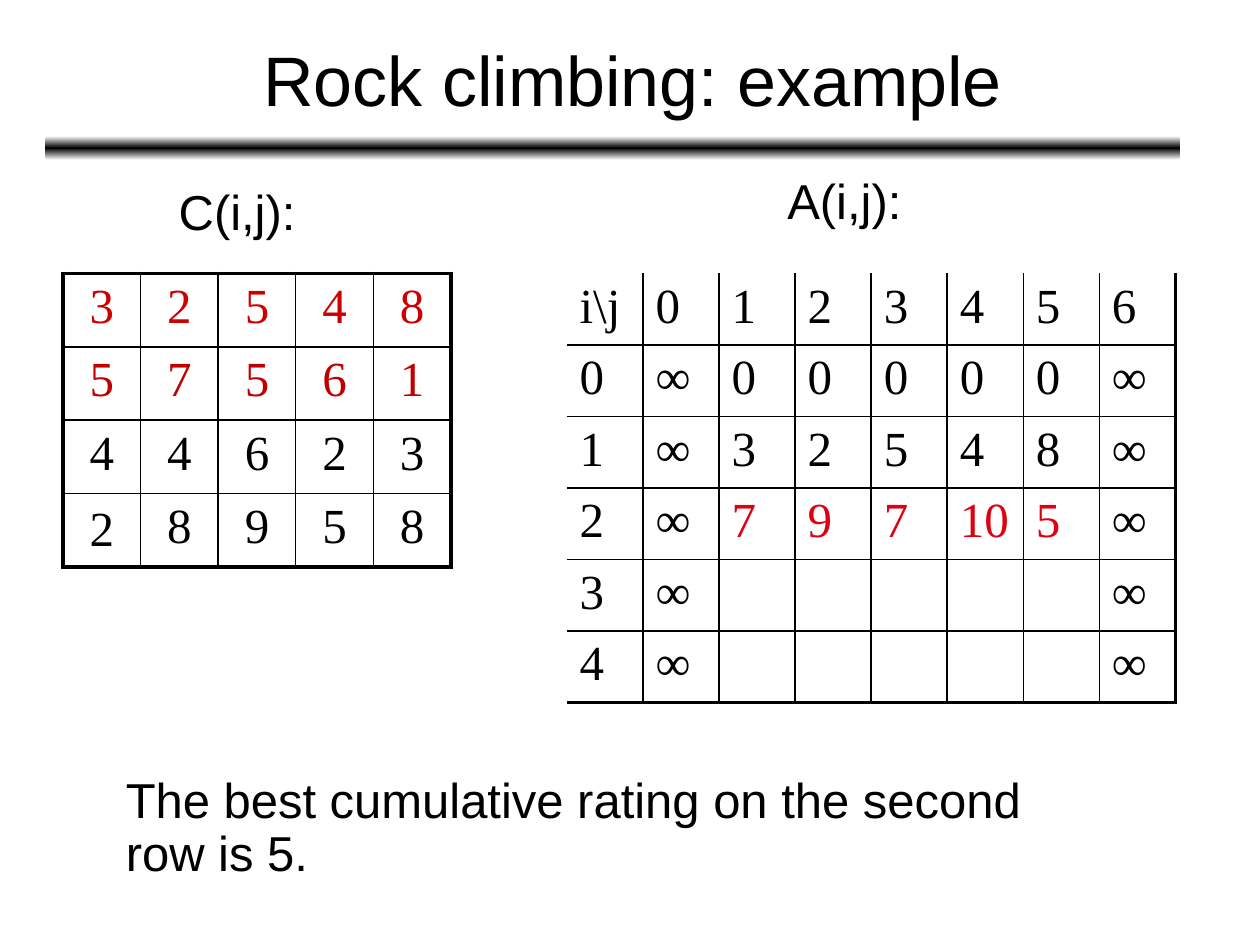
from copy import deepcopy
from lxml.etree import SubElement
from pptx import Presentation
from pptx.dml.color import RGBColor
from pptx.enum.shapes import MSO_SHAPE
from pptx.enum.text import MSO_ANCHOR, PP_ALIGN
from pptx.oxml.ns import qn
from pptx.util import Inches, Pt

BLACK = "000000"
THIN, THICK = 1, 2.25


def color(code):
    return RGBColor.from_string(code)


def style(para, size, face, code=BLACK, align=PP_ALIGN.LEFT):
    para.alignment = align
    for run in para.runs:
        run.font.size = Pt(size)
        run.font.name = face
        run.font.color.rgb = color(code)


def place(shape, box):
    shape.left, shape.top, shape.width, shape.height = map(Inches, box)


def add_title(slide, box, text):
    title = slide.shapes.title
    place(title, box)
    frame = title.text_frame
    frame.text = text
    frame.vertical_anchor = MSO_ANCHOR.MIDDLE
    style(frame.paragraphs[0], 40, "Arial", align=PP_ALIGN.CENTER)


def add_rule(slide, box):
    bar = slide.shapes.add_shape(MSO_SHAPE.ROUNDED_RECTANGLE, *map(Inches, box))
    bar.shadow.inherit = False
    bar.line.fill.background()
    bar.fill.gradient()
    bar.fill.gradient_angle = 90
    stops = bar._element.spPr.find(".//" + qn("a:gsLst"))
    stops.append(deepcopy(stops[0]))
    shades = ((0, "FFFFFF"), (0.5, BLACK), (1, "FFFFFF"))
    for stop, (spot, code) in zip(bar.fill.gradient_stops, shades):
        stop.position = spot
        stop.color.rgb = color(code)


def add_label(slide, box, text, wrap=False):
    frame = slide.shapes.add_textbox(*map(Inches, box)).text_frame
    frame.word_wrap = wrap
    frame.text = text
    para = frame.paragraphs[0]
    para.line_spacing = 0.9
    style(para, 28, "Arial")


def add_edges(cell, widths):
    props = cell._tc.get_or_add_tcPr()
    for spot, (side, width) in enumerate(zip("LRTB", widths)):
        edge = SubElement(props, qn("a:ln" + side))
        props.insert(spot, edge)
        if width:
            edge.set("w", str(Pt(width)))
            fill = SubElement(edge, qn("a:solidFill"))
            SubElement(fill, qn("a:srgbClr")).set("val", BLACK)
        else:
            SubElement(edge, qn("a:noFill"))


def add_grid(slide, box, rows, tints, align, start):
    high, wide = len(rows), len(rows[0])
    frame = slide.shapes.add_table(high, wide, *map(Inches, box))
    table = frame.table
    table.first_row = table.horz_banding = False
    for col in table.columns:
        col.width = Inches(box[2] / wide)
    for row in table.rows:
        row.height = Inches(box[3] / high)
    for y, row in enumerate(rows):
        for x, text in enumerate(row):
            cell = table.cell(y, x)
            cell.fill.background()
            add_edges(cell, (
                THIN if x else start,
                THIN if x < wide - 1 else THICK,
                THIN if y else start,
                THIN if y < high - 1 else THICK,
            ))
            if text:
                cell.text = text
                tint = tints.get(y, BLACK) if text != "∞" and (start or x) else BLACK
                style(cell.text_frame.paragraphs[0], 28, "Times New Roman", tint, align)
    return table


def add_costs(slide, box):
    rows = ["32548", "57561", "44623", "28958"]
    tints = {0: "CC0000", 1: "C00000"}
    table = add_grid(slide, box, rows, tints, PP_ALIGN.CENTER, THICK)
    table.cell(3, 0).vertical_anchor = MSO_ANCHOR.MIDDLE


def add_sums(slide, box):
    inner = [["0"] * 5, list("32548"), ["7", "9", "7", "10", "5"], [""] * 5, [""] * 5]
    rows = [["i\\j", *map(str, range(7))]]
    rows += [[str(i), "∞", *vals, "∞"] for i, vals in enumerate(inner)]
    add_grid(slide, box, rows, {3: "DD0111"}, PP_ALIGN.LEFT, 0)


def main():
    deck = Presentation()
    deck.slide_width, deck.slide_height = Inches(10), Inches(7.5)
    slide = deck.slides.add_slide(deck.slide_layouts[5])
    add_rule(slide, (0.36, 1.08, 9.01, 0.19))
    add_title(slide, (0.77, 0, 8.5, 1.25), "Rock climbing: example")
    add_costs(slide, (0.5, 2.17, 3.08, 2.33))
    add_label(slide, (1.32, 1.44, 1.14, 0.52), "C(i,j):")
    add_label(slide, (6.15, 1.36, 1.16, 0.52), "A(i,j):")
    add_label(slide, (0.9, 6.11, 8.03, 0.52),
              "The best cumulative rating on the second row is 5.", True)
    add_sums(slide, (4.5, 2.17, 4.83, 3.4))
    deck.save("out.pptx")


if __name__ == "__main__":
    main()
